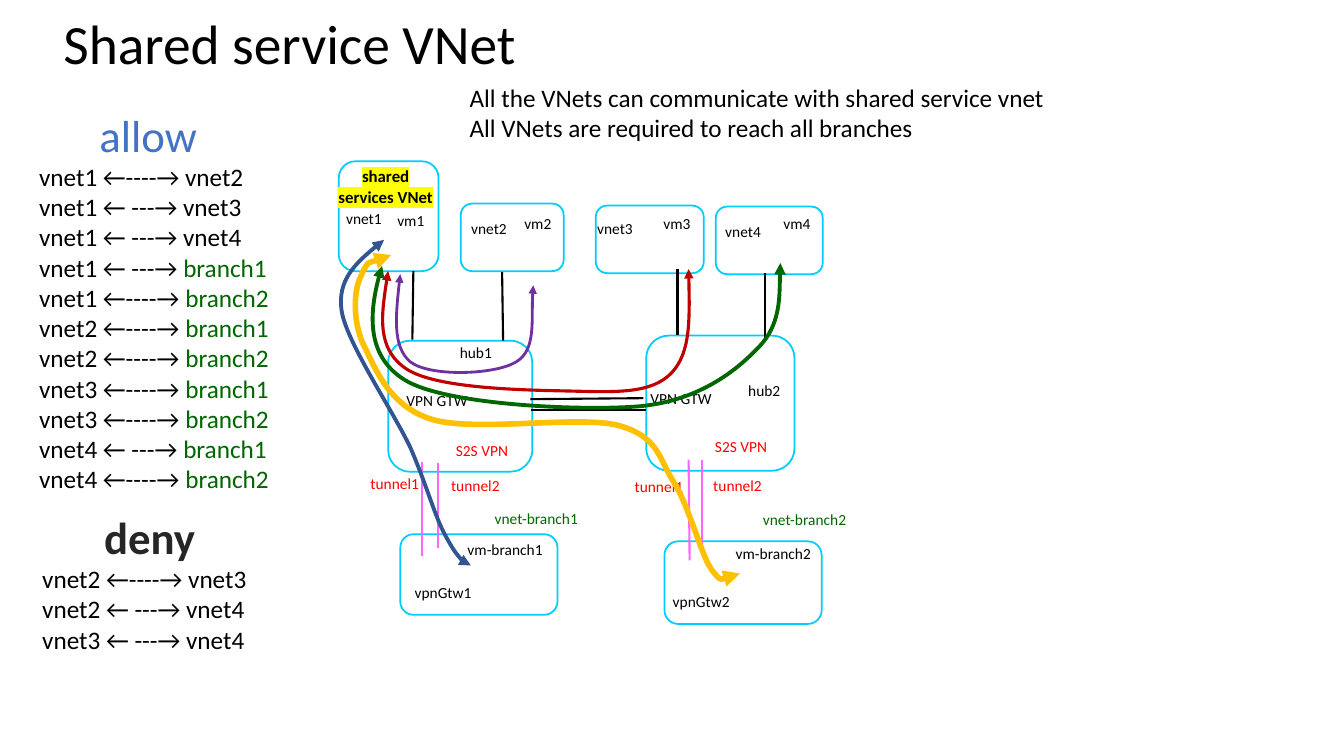
from lxml.etree import SubElement
from pptx import Presentation
from pptx.dml.color import RGBColor
from pptx.enum.shapes import MSO_CONNECTOR, MSO_SHAPE
from pptx.enum.text import MSO_ANCHOR, MSO_AUTO_SIZE, PP_ALIGN
from pptx.oxml.ns import qn
from pptx.util import Inches, Pt

THEME = {
    "font": "Calibri",
    "size": {"title": 39.6, "heading": 32, "body": 18, "shared": 12, "label": 11},
    "color": {
        "text": "000000", "box": "00CCFF", "tunnel": "FF66FF", "vpn": "FF0000",
        "branch": "006600", "allow": "4472C4", "deny": "262626", "highlight": "FFFF00",
        "purple": "7030A0", "red": "C00000", "green": "006600", "blue": "325491",
        "gold": "FFC000",
    },
}


def rgb(color):
    return RGBColor.from_string(THEME["color"][color])


def add_text(left, top, width, height, paragraphs, size="label", align=PP_ALIGN.LEFT,
             bold=False, wrap=False):
    """Each paragraph is a list of (text, color) runs."""
    box = slide.shapes.add_textbox(Inches(left), Inches(top), Inches(width), Inches(height))
    frame = box.text_frame
    frame.word_wrap = wrap
    frame.auto_size = MSO_AUTO_SIZE.SHAPE_TO_FIT_TEXT
    font_format = {"name": THEME["font"], "size": Pt(THEME["size"][size]), "bold": bold}
    for index, runs in enumerate(paragraphs):
        paragraph = frame.add_paragraph() if index else frame.paragraphs[0]
        paragraph.alignment = align
        for text, color in runs:
            run = paragraph.add_run()
            run.text = text
            for attribute, value in font_format.items():
                setattr(run.font, attribute, value)
            run.font.color.rgb = rgb(color)
    return frame


prs = Presentation()
prs.slide_width, prs.slide_height = Inches(13.33), Inches(7.5)
slide = prs.slides.add_slide(prs.slide_layouts[6])

# Title
title = add_text(0.53, 0.19, 11.5, 0.55, [[("Shared service VNet", "text")]], "title", wrap=True)
title.auto_size = MSO_AUTO_SIZE.NONE
title.vertical_anchor = MSO_ANCHOR.MIDDLE
title.paragraphs[0].line_spacing = 0.9

# VNets, hubs and branches
networks = [
    (3.36, 1.6, 0.99, 1.09), (4.57, 2.02, 1.02, 0.67),
    (5.91, 2.04, 1.07, 0.67), (7.1, 2.05, 1.06, 0.67),
    (3.85, 3.38, 1.43, 1.3), (6.41, 3.33, 1.47, 1.34),
    (3.97, 5.3, 1.56, 0.8), (6.59, 5.37, 1.56, 0.82),
]
for bounds in networks:
    network = slide.shapes.add_shape(MSO_SHAPE.FLOWCHART_ALTERNATE_PROCESS, *map(Inches, bounds))
    network.shadow.inherit = False
    network.fill.background()
    network.line.color.rgb = rgb("box")
    network.line.width = Pt(1.25)

# Peerings, hub-to-hub links and VPN tunnels
links = {
    "text": [
        (4.98, 2.7, 4.99, 3.38), (4.1, 2.69, 4.09, 3.37), (6.72, 2.67, 6.72, 3.32),
        (7.59, 2.71, 7.59, 3.36), (5.27, 4.07, 6.41, 4.07), (5.26, 3.96, 6.38, 3.95),
    ],
    "tunnel": [
        (4.19, 4.58, 4.19, 5.52), (4.34, 4.59, 4.34, 5.44),
        (6.83, 4.56, 6.84, 5.56), (6.96, 4.56, 6.96, 5.48),
    ],
}
for color, ends in links.items():
    for end_points in ends:
        link = slide.shapes.add_connector(MSO_CONNECTOR.STRAIGHT, *map(Inches, end_points))
        link.line.color.rgb = rgb(color)
        link.line.width = Pt(1.5)
        SubElement(link._element.spPr, qn("a:effectLst"))

# Diagram labels: text, left, top, width
labels = {
    "text": [
        ("vnet1", 3.33, 2.03, 0.56), ("vm1", 3.84, 2.04, 0.47),
        ("vnet2", 4.57, 2.12, 0.56), ("vm2", 5.1, 2.07, 0.47),
        ("vnet3", 5.82, 2.12, 0.56), ("vm3", 6.48, 2.07, 0.47),
        ("vnet4", 7.09, 2.15, 0.56), ("vm4", 7.67, 2.07, 0.47),
        ("hub1", 4.46, 3.35, 0.52), ("hub2", 7.32, 3.73, 0.52),
        ("VPN GTW", 3.93, 3.83, 0.81), ("VPN GTW", 6.35, 3.81, 0.81),
        ("vm-branch1", 4.53, 5.31, 0.96), ("vm-branch2", 7.19, 5.35, 0.96),
        ("vpnGtw1", 4.01, 5.74, 0.77), ("vpnGtw2", 6.57, 5.82, 0.77),
    ],
    "branch": [("vnet-branch1", 4.8, 5, 1.04), ("vnet-branch2", 7.46, 5.01, 1.04)],
    "vpn": [
        ("S2S VPN", 4.42, 4.33, 0.72), ("S2S VPN", 6.99, 4.29, 0.72),
        ("tunnel1", 3.57, 4.65, 0.69), ("tunnel2", 4.37, 4.67, 0.69),
        ("tunnel1", 6.19, 4.68, 0.69), ("tunnel2", 6.97, 4.67, 0.69),
    ],
}
for color, entries in labels.items():
    for text, left, top, width in entries:
        add_text(left, top, width, 0.29, [[(text, color)]], align=PP_ALIGN.CENTER)

# Highlighted name of the shared VNet
shared = add_text(3.2, 1.6, 1.25, 0.5, [[("shared services VNet", "text")]], "shared",
                  PP_ALIGN.CENTER, bold=True, wrap=True)
shared_rpr = shared.paragraphs[0].runs[0].font._element
highlight = SubElement(shared_rpr, qn("a:highlight"))
SubElement(highlight, qn("a:srgbClr"), val=THEME["color"]["highlight"])
shared_rpr.find(qn("a:solidFill")).addnext(highlight)

# Traffic flows: color, width, start point, then Bezier points in threes
flows = [
    ("purple", 2, [(5.29, 2.83), (5.26, 3.12), (5.32, 3.47), (5.12, 3.59), (4.91, 3.72),
                   (4.26, 3.74), (4.07, 3.59), (3.89, 3.44), (3.93, 3.08), (3.97, 2.72)]),
    ("red", 2.25, [(3.85, 2.69), (3.79, 3.07), (3.73, 3.46), (4.03, 3.66), (4.33, 3.86),
                   (5.22, 3.87), (5.66, 3.88), (6.1, 3.89), (6.46, 3.91), (6.66, 3.7),
                   (6.85, 3.5), (6.84, 3.13), (6.83, 2.67)]),
    ("green", 2.75, [(3.79, 2.64), (3.66, 3.04), (3.63, 3.56), (4.05, 3.79), (4.48, 4.02),
                     (5.78, 4.08), (6.36, 4.03), (6.93, 3.97), (7.29, 3.69), (7.52, 3.45),
                     (7.75, 3.22), (7.73, 2.8), (7.74, 2.61)]),
    ("blue", 2.75, [(4.67, 5.61), (4.66, 5.68), (4.5, 5.47), (4.4, 5.28), (4.3, 5.08),
                    (4.23, 4.81), (4.07, 4.44), (3.9, 4.08), (3.44, 3.4), (3.39, 3.09),
                    (3.34, 2.78), (3.58, 2.56), (3.81, 2.38)]),
    ("gold", 4, [(7.34, 5.69), (7.25, 5.74), (7.16, 5.79), (7.05, 5.64), (6.95, 5.49),
                 (6.83, 5.01), (6.68, 4.78), (6.53, 4.54), (6.53, 4.33), (6.13, 4.22),
                 (5.73, 4.12), (4.7, 4.29), (4.28, 4.16), (3.87, 4.03), (3.74, 3.69),
                 (3.62, 3.45), (3.5, 3.22), (3.5, 2.9), (3.58, 2.74), (3.65, 2.57),
                 (3.76, 2.59), (3.88, 2.53)]),
]
for color, width, points in flows:
    start, *bends = [(Inches(x), Inches(y)) for x, y in points]
    builder = slide.shapes.build_freeform(*start)
    builder.add_line_segments(bends, close=False)
    flow = builder.convert_to_shape()
    flow.shadow.inherit = False
    flow.fill.background()
    flow.line.color.rgb = rgb(color)
    flow.line.width = Pt(width)
    for arrowhead in ("a:headEnd", "a:tailEnd"):
        SubElement(flow.line._get_or_add_ln(), qn(arrowhead), type="triangle")
    # Turn every three straight segments into one cubic curve
    outline = flow._element.find(".//" + qn("a:path"))
    segments = outline.findall(qn("a:lnTo"))
    for first in range(0, len(segments), 3):
        cubic = SubElement(outline, qn("a:cubicBezTo"))
        for segment in segments[first:first + 3]:
            cubic.append(segment[0])
            outline.remove(segment)

# Allowed and denied connections
CLOSED, SPACED = "←----→", "← ---→"
allowed = [
    ("vnet1", CLOSED, "vnet2"), ("vnet1", SPACED, "vnet3"), ("vnet1", SPACED, "vnet4"),
    ("vnet1", SPACED, "branch1"), ("vnet1", CLOSED, "branch2"),
    ("vnet2", CLOSED, "branch1"), ("vnet2", CLOSED, "branch2"),
    ("vnet3", CLOSED, "branch1"), ("vnet3", CLOSED, "branch2"),
    ("vnet4", SPACED, "branch1"), ("vnet4", CLOSED, "branch2"),
]
denied = [("vnet2", CLOSED, "vnet3"), ("vnet2", SPACED, "vnet4"), ("vnet3", SPACED, "vnet4")]
for bounds, connections in [((0.29, 1.55, 2.6, 3.43), allowed), ((0.32, 5.54, 2.29, 1.01), denied)]:
    add_text(*bounds, [
        [(f"{source} {arrow} ", "text"),
         (target, "branch" if target.startswith("branch") else "text")]
        for source, arrow, target in connections
    ], "body")
add_text(0.88, 1.02, 1.18, 0.64, [[("allow", "allow")]], "heading", PP_ALIGN.CENTER)
add_text(0.93, 5.01, 1.11, 0.64, [[("deny", "deny")]], "heading", PP_ALIGN.CENTER, bold=True)

# Requirements
add_text(4.56, 0.77, 5.97, 0.86, [
    [("All the VNets can communicate with shared service vnet", "text")],
    [("All VNets are required to reach all branches", "text")],
], "body")

prs.save("out.pptx")
